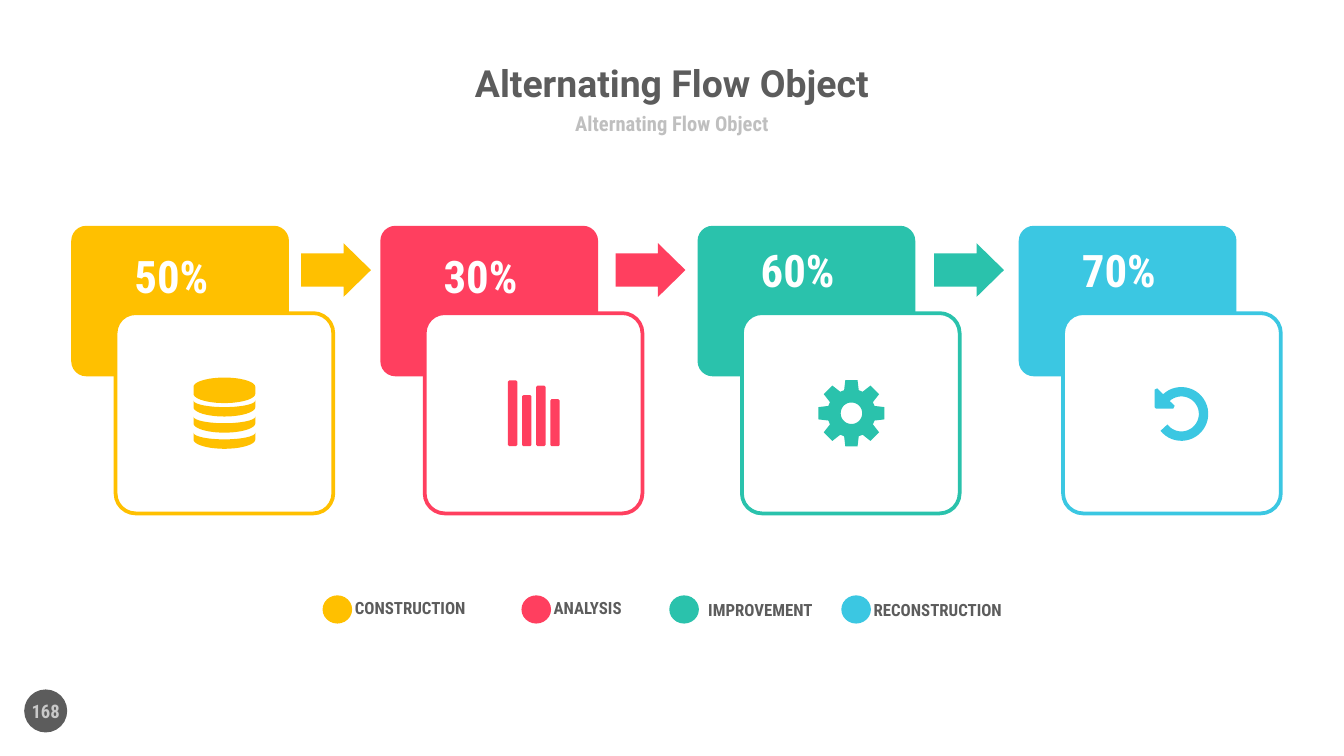
from math import cos, radians, sin

from pptx import Presentation
from pptx.dml.color import RGBColor
from pptx.enum.shapes import MSO_SHAPE
from pptx.enum.text import MSO_ANCHOR, PP_ALIGN
from pptx.util import Inches, Pt

ELLIPSE = MSO_SHAPE.OVAL
ROUNDED = MSO_SHAPE.ROUNDED_RECTANGLE
ARROW = MSO_SHAPE.RIGHT_ARROW
LEFT, CENTER = PP_ALIGN.LEFT, PP_ALIGN.CENTER
TOP, MIDDLE, BOTTOM = MSO_ANCHOR.TOP, MSO_ANCHOR.MIDDLE, MSO_ANCHOR.BOTTOM

YELLOW, RED, GREEN, BLUE = "FFC000", "FF3F5F", "2AC2AC", "3BC7E2"
WHITE, DARK, GRAY, PALE = "FFFFFF", "5C5C5C", "BFBFBF", "C9C9C9"


def rgb(value):
    return RGBColor.from_string(value)


def arc(x, y, radius_x, radius_y, start, end, steps=36):
    """Points along an ellipse; degrees run clockwise from the right."""
    angles = [radians(start + (end - start) * i / steps) for i in range(steps + 1)]
    return [(x + radius_x * cos(a), y + radius_y * sin(a)) for a in angles]


class SlideBuilder:
    font = "Roboto Condensed"

    def __init__(self, slide):
        self.slide = slide

    def paint(self, shape, fill, line=None):
        shape.shadow.inherit = False
        shape.fill.solid()
        shape.fill.fore_color.rgb = rgb(fill)
        if line:
            shape.line.color.rgb = rgb(line)
            shape.line.width = Pt(2)
        else:
            shape.line.fill.background()

    def shape(self, kind, box, fill, line=None, adjustments=()):
        shape = self.slide.shapes.add_shape(kind, *map(Inches, box))
        for index, value in enumerate(adjustments):
            shape.adjustments[index] = value
        self.paint(shape, fill, line)

    def icon(self, contours, fill):
        paths = [[(Inches(x), Inches(y)) for x, y in points] for points in contours]
        builder = self.slide.shapes.build_freeform(*paths[0][0])
        builder.add_line_segments(paths[0][1:], close=True)
        for points in paths[1:]:
            builder.move_to(*points[0])
            builder.add_line_segments(points[1:], close=True)
        self.paint(builder.convert_to_shape(), fill)

    def text(self, text, box, size, color, align=CENTER, anchor=MIDDLE, font=None):
        frame = self.slide.shapes.add_textbox(*map(Inches, box)).text_frame
        frame.margin_left = frame.margin_right = 0
        frame.margin_top = frame.margin_bottom = 0
        frame.word_wrap = True
        frame.vertical_anchor = anchor
        paragraph = frame.paragraphs[0]
        paragraph.text = text
        paragraph.alignment = align
        paragraph.font.name = font or self.font
        paragraph.font.size = Pt(size)
        paragraph.font.bold = True
        paragraph.font.color.rgb = rgb(color)


def database_icon():
    x, radius = 1.67, 0.23
    disc = arc(x, 2.88, radius, 0.07, 180, 360) + arc(x, 2.93, radius, 0.07, 0, 180)
    bands = [
        arc(x, y, radius, 0.05, 180, 0) + arc(x, y + 0.05, radius, 0.07, 0, 180)
        for y in (2.98, 3.1, 3.22)
    ]
    return [disc] + bands


def bars_icon():
    bottom, width, cut = 3.32, 0.07, 0.01
    bars = []
    for index, top in enumerate((2.83, 2.94, 2.87, 2.97)):
        left = 3.78 + 0.105 * index
        right = left + width
        bars.append([
            (left + cut, top), (right - cut, top), (right, top + cut),
            (right, bottom - cut), (right - cut, bottom),
            (left + cut, bottom), (left, bottom - cut), (left, top + cut),
        ])
    return bars


def gear_icon():
    x, y = 6.335, 3.075
    tooth = ((-17.5, 0.18), (-10.5, 0.25), (10.5, 0.25), (17.5, 0.18))
    outline = [
        (x + radius * cos(radians(turn + angle)), y + radius * sin(radians(turn + angle)))
        for turn in range(0, 360, 45)
        for angle, radius in tooth
    ]
    return [outline, arc(x, y, 0.08, 0.08, 360, 0)]


def undo_icon():
    x, y = 8.79, 3.08
    head = [(8.61, 2.89), (8.59, 2.9), (8.59, 3.03), (8.6, 3.04),
            (8.73, 3.04), (8.74, 3.02)]
    outer = arc(x, y, 0.2, 0.2, 141, -133)
    inner = arc(x, y, 0.13, 0.13, -132, 143)
    return [outer + head + inner]


def main():
    presentation = Presentation()
    presentation.slide_width = Inches(10)
    presentation.slide_height = Inches(10 * 9 / 16)
    slide = presentation.slides.add_slide(presentation.slide_layouts[6])
    builder = SlideBuilder(slide)

    # Page number and headings
    builder.shape(ELLIPSE, (0.18, 5.13, 0.32, 0.32), DARK)
    builder.text("Alternating Flow Object", (1.92, 0.42, 6.16, 0.39), 20, DARK, font="Roboto")
    builder.text("Alternating Flow Object", (2.75, 0.81, 4.5, 0.22), 11, GRAY)
    builder.text("168", (0.09, 5.14, 0.5, 0.3), 10, PALE)

    # Flow steps: panel, card, arrow to the next step, icon, percentage
    steps = [
        (0.53, YELLOW, "50%", 1.85, 2.24, database_icon),
        (2.83, RED, "30%", 1.85, 4.58, bars_icon),
        (5.19, GREEN, "60%", 1.81, 6.95, gear_icon),
        (7.58, BLUE, "70%", 1.81, None, undo_icon),
    ]
    for left, color, percent, percent_top, arrow_left, icon in steps:
        builder.shape(ROUNDED, (left, 1.68, 1.62, 1.12), color, adjustments=[0.1])
        builder.shape(ROUNDED, (left + 0.33, 2.33, 1.62, 1.49), WHITE, color, [0.1])
        if arrow_left:
            builder.shape(ARROW, (arrow_left, 1.81, 0.52, 0.4), color, adjustments=[0.62, 0.51])
        builder.icon(icon(), color)
        builder.text(percent, (left + 0.41, percent_top, 0.67, 0.4), 24, WHITE, anchor=BOTTOM)

    # Legend
    legend = [
        ("CONSTRUCTION", YELLOW, 2.4, 2.64, 4.45, 1.02),
        ("ANALYSIS", RED, 3.88, 4.12, 4.45, 0.64),
        ("IMPROVEMENT", GREEN, 4.98, 5.27, 4.46, 0.94),
        ("RECONSTRUCTION", BLUE, 6.26, 6.5, 4.46, 1.19),
    ]
    for label, color, dot_left, label_left, label_top, width in legend:
        builder.text(label, (label_left, label_top, width, 0.15), 9, DARK, LEFT, TOP)
        builder.shape(ELLIPSE, (dot_left, 4.43, 0.22, 0.21), color)

    presentation.save("out.pptx")


if __name__ == "__main__":
    main()
